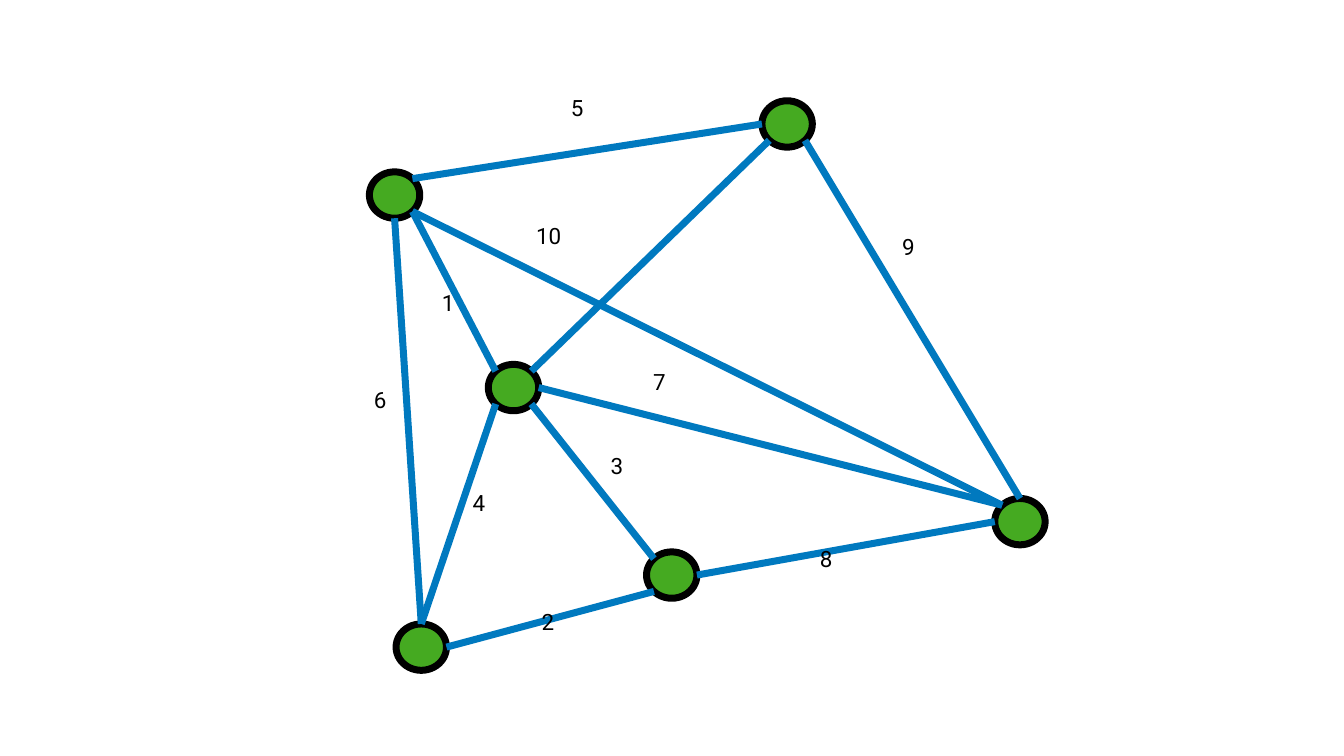
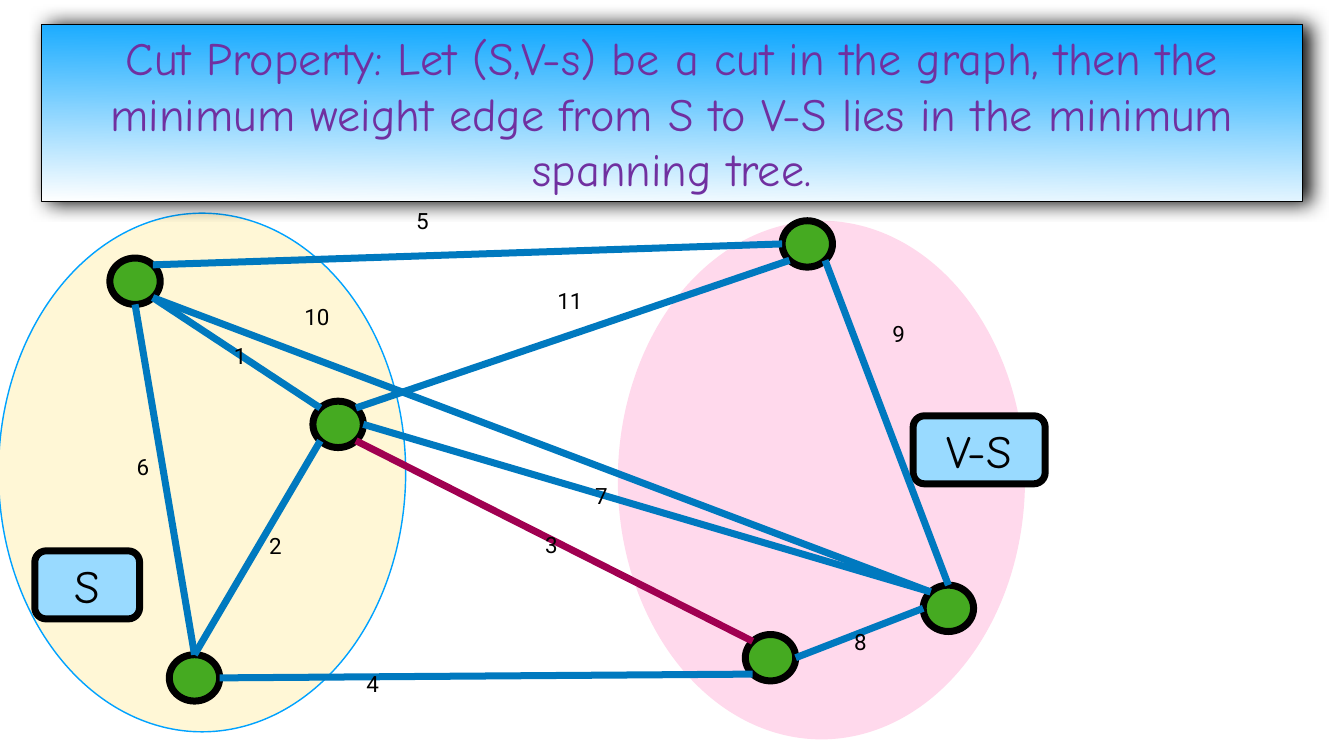
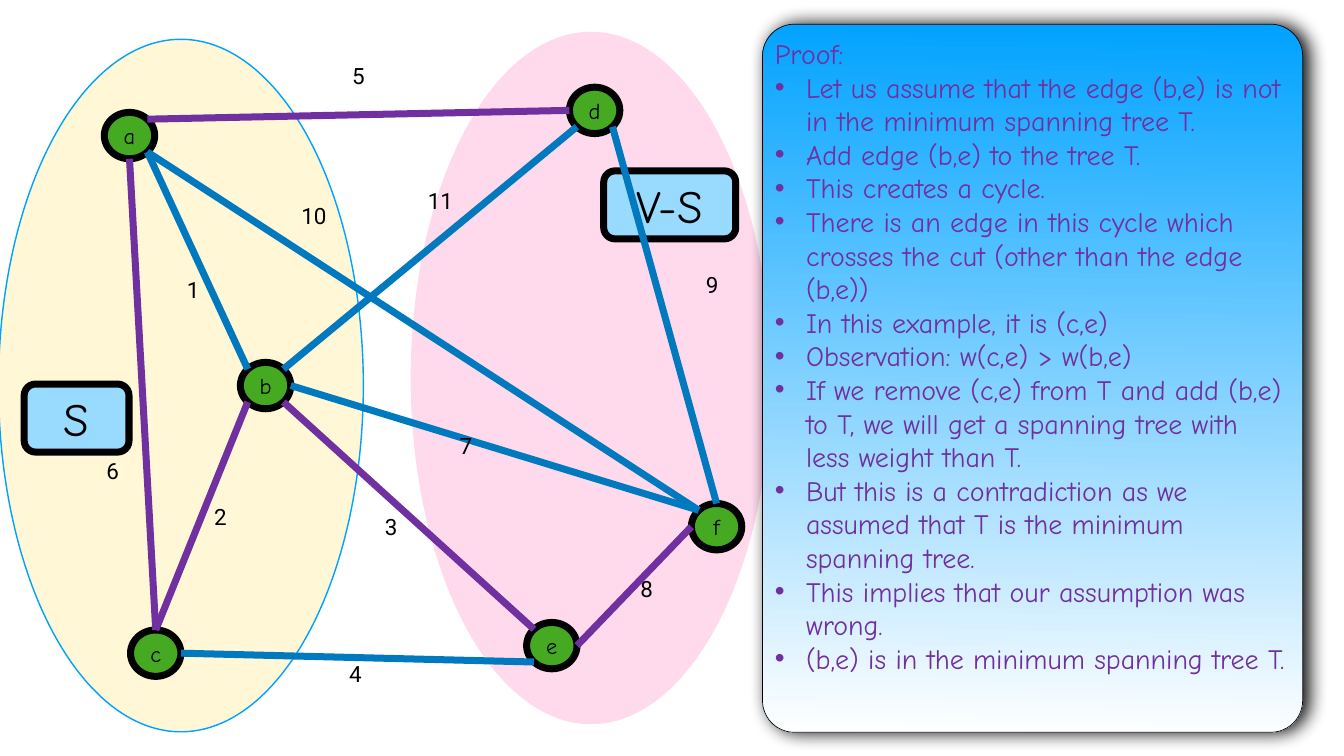
from dataclasses import dataclass, field
from lxml import etree
from pptx import Presentation, util as u
from pptx.dml import color as c
from pptx.enum import shapes as s, text as t
from pptx.oxml import ns


@dataclass(frozen=True)
class Theme:
    """Colours as RRGGBB, type sizes and line widths in points."""
    ink: str = "000000"
    purple: str = "7030A0"
    crimson: str = "A00051"
    edge: str = "0079BF"
    node: str = "45AA21"
    tag: str = "99DAFF"
    sky: str = "00A2FF"
    white: str = "FFFFFF"
    pink: str = "FFD9EC"
    cream: str = "FFF7D6"
    hand: str = "Comic Neue"
    plain: str = "Roboto"
    large: int = 66
    medium: int = 40
    small: int = 32
    thick: int = 10
    thin: int = 2
    hairline: int = 1


@dataclass(frozen=True)
class Graph:
    """Node corners, weight label corners and coloured edges of one drawing."""
    nodes: dict
    weights: dict
    marked: str = ""
    marker: str = ""
    named: bool = False


THEME = Theme()
SCALE = 9144
INSET = 6
NODE_SIZE = (100, 92)
TAG_HEIGHT = 135
LABEL_HEIGHT = 123
PANEL_CORNER = 0.059
DIAGONAL = 0.5 ** 0.5
SITES = {"top": (0, -1), "bottom": (0, 1), "left": (-1, 0), "right": (1, 0),
         "top left": (-DIAGONAL, -DIAGONAL), "top right": (DIAGONAL, -DIAGONAL),
         "bottom left": (-DIAGONAL, DIAGONAL), "bottom right": (DIAGONAL, DIAGONAL)}
EDGES = [("d", "bottom right", "f", "top"), ("f", "top left", "a", "bottom right"),
         ("d", "bottom left", "b", "top right"), ("c", "top", "b", "bottom left"),
         ("e", "top left", "b", "bottom right"), ("f", "left", "e", "right"),
         ("b", "top left", "a", "bottom right"), ("d", "left", "a", "top right"),
         ("c", "top", "a", "bottom"), ("c", "right", "e", "bottom left"),
         ("f", "top left", "b", "right")]

PLAIN_GRAPH = Graph(
    nodes={"a": (733, 341), "d": (1512, 200), "b": (969, 723),
           "c": (786, 1238), "e": (1283, 1095), "f": (1974, 989)},
    weights={"5": (1127, 156), "6": (736, 735), "10": (1058, 410), "9": (1784, 432),
             "1": (871, 542), "4": (932, 939), "3": (1206, 866), "2": (1069, 1176),
             "7": (1290, 699), "8": (1621, 1051)})
CUT_GRAPH = Graph(
    nodes={"a": (218, 512), "d": (1552, 438), "b": (621, 796),
           "c": (336, 1299), "e": (1479, 1259), "f": (1832, 1161)},
    weights={"6": (265, 868), "10": (598, 569), "9": (1765, 603), "1": (458, 648),
             "4": (721, 1299), "3": (1076, 1022), "7": (1175, 925), "8": (1689, 1215),
             "5": (820, 379), "2": (528, 1025), "11": (1100, 538)},
    marked="eb", marker=THEME.crimson)
PROOF_GRAPH = Graph(
    nodes={"a": (207, 223), "d": (1130, 173), "b": (477, 719),
           "c": (259, 1250), "e": (1045, 1235), "f": (1372, 999)},
    weights={"6": (205, 876), "10": (592, 369), "9": (1395, 506), "1": (365, 516),
             "4": (687, 1279), "3": (758, 986), "7": (906, 825), "8": (1265, 1109),
             "5": (693, 91), "2": (419, 967), "11": (843, 339)},
    marked="cb eb fe da ca", marker=THEME.purple, named=True)

CUT_PROPERTY = ("Cut Property: Let (S,V-s) be a cut in the graph, then the minimum "
                "weight edge from S to V-S lies in the minimum spanning tree.")
PROOF_STEPS = [
    "Let us assume that the edge (b,e) is not in the minimum spanning tree T.",
    "Add edge (b,e) to the tree T.",
    "This creates a cycle.",
    "There is an edge in this cycle which crosses the cut (other than the edge (b,e))",
    "In this example, it is (c,e)",
    "Observation: w(c,e) > w(b,e)",
    "If we remove (c,e) from T and add (b,e) to T, we will get a spanning tree "
    "with less weight than T.",
    "But this is a contradiction as we assumed that T is the minimum spanning tree.",
    "This implies that our assumption was wrong.",
    "(b,e) is in the minimum spanning tree T."]


def px(*lengths):
    """Turn px lengths into a list of EMU."""
    return [u.Emu(round(length * SCALE)) for length in lengths]


def rgb(value):
    """Turn RRGGBB into a colour."""
    return c.RGBColor.from_string(value)


def set_line(line, color, width):
    """Give a line its colour and width."""
    line.color.rgb = rgb(color)
    line.width = u.Pt(width)


def write(shape, lines, size, color=THEME.ink, font=THEME.hand,
          align=t.PP_ALIGN.CENTER, anchor=t.MSO_ANCHOR.MIDDLE):
    """Fill a shape with paragraphs in one format."""
    frame = shape.text_frame
    frame.text = "\n".join(lines)
    frame.word_wrap = True
    frame.auto_size = t.MSO_AUTO_SIZE.NONE
    frame.vertical_anchor = anchor
    frame.margin_left, frame.margin_top, frame.margin_right, frame.margin_bottom = px(*[INSET] * 4)
    for para in frame.paragraphs:
        para.alignment = align
        for span in para.runs:
            span.font.name = font
            span.font.size = u.Pt(size)
            span.font.color.rgb = rgb(color)


def add_block(page, kind, box, fill, outline=None, width=THEME.thick):
    """Add a flat preset shape, outlined if a colour is given."""
    shape = page.shapes.add_shape(kind, *px(*box))
    shape.shadow.inherit = False
    shape.fill.solid()
    shape.fill.fore_color.rgb = rgb(fill)
    if outline:
        set_line(shape.line, outline, width)
    else:
        shape.line.fill.background()
    return shape


def add_sets(page, source, target):
    """Add the two sides of the cut as large ovals."""
    add_block(page, s.MSO_SHAPE.OVAL, target, THEME.pink)
    add_block(page, s.MSO_SHAPE.OVAL, source, THEME.cream, THEME.sky, THEME.thin)


def add_tag(page, name, left, top, width):
    """Add the name tag of one side of the cut."""
    tag = add_block(page, s.MSO_SHAPE.ROUNDED_RECTANGLE,
                    (left, top, width, TAG_HEIGHT), THEME.tag, THEME.ink)
    write(tag, [name], THEME.large)


def style_panel(shape):
    """Give a rounded shape the gradient, outline and shadow of a panel."""
    shape.adjustments[0] = PANEL_CORNER
    shape.fill.gradient()
    shape.fill.gradient_angle = 269
    for stop, color in zip(shape.fill.gradient_stops, (THEME.sky, THEME.white)):
        stop.color.rgb = rgb(color)
    set_line(shape.line, THEME.ink, THEME.hairline)
    shape.shadow.inherit = False
    effects = shape._element.spPr.find(ns.qn("a:effectLst"))
    shadow = etree.SubElement(effects, ns.qn("a:outerShdw"), blurRad=str(u.Pt(28)),
                              dist=str(u.Pt(9)), dir="0", rotWithShape="0")
    black = etree.SubElement(shadow, ns.qn("a:srgbClr"), val=THEME.ink)
    etree.SubElement(black, ns.qn("a:alpha"), val="97000")


def add_title_panel(page, title, box):
    """Turn the title placeholder into a panel above the shapes so far."""
    shape = page.shapes.title
    shape.left, shape.top, shape.width, shape.height = px(*box)
    element = shape._element
    etree.SubElement(element.spPr, ns.qn("a:prstGeom"), prst="roundRect")
    element.getparent().append(element)
    style_panel(shape)
    write(shape, [title], THEME.large, THEME.purple)


def add_proof_panel(page, heading, steps, box):
    """Add a panel with a heading and bulleted steps."""
    shape = page.shapes.add_shape(s.MSO_SHAPE.ROUNDED_RECTANGLE, *px(*box))
    style_panel(shape)
    write(shape, [heading, *steps], THEME.medium, THEME.purple,
          align=t.PP_ALIGN.LEFT, anchor=t.MSO_ANCHOR.TOP)
    indent = px(62)[0]
    for para in shape.text_frame.paragraphs[1:]:
        properties = para._p.get_or_add_pPr()
        properties.set("marL", str(indent))
        properties.set("indent", str(-indent))
        etree.SubElement(properties, ns.qn("a:buFont"), typeface="Arial")
        etree.SubElement(properties, ns.qn("a:buChar"), char="•")


def site_point(corner, site):
    """Find the point of a node's outline that a site names."""
    return [start + size / 2 * (1 + shift)
            for start, size, shift in zip(corner, NODE_SIZE, SITES[site])]


def add_edge(page, start, end, color):
    """Add a straight edge between two points."""
    edge = page.shapes.add_connector(s.MSO_CONNECTOR.STRAIGHT, *px(*start, *end))
    set_line(edge.line, color, THEME.thick)
    etree.SubElement(edge._element.spPr, ns.qn("a:effectLst"))


def add_weight(page, weight, corner):
    """Add the weight label of an edge."""
    width = 54 if len(weight) == 1 else 70
    label = page.shapes.add_textbox(*px(*corner, width, LABEL_HEIGHT))
    write(label, [weight], THEME.small, font=THEME.plain, align=t.PP_ALIGN.LEFT)
    label.text_frame.auto_size = t.MSO_AUTO_SIZE.SHAPE_TO_FIT_TEXT
    para = label.text_frame.paragraphs[0]
    para.line_spacing = 0.9
    para.space_before = u.Pt(45)


def add_graph(page, graph):
    """Add the nodes, edges and weights of a graph."""
    for name, corner in graph.nodes.items():
        node = add_block(page, s.MSO_SHAPE.OVAL, (*corner, *NODE_SIZE), THEME.node, THEME.ink)
        if graph.named:
            write(node, [name], THEME.small)
    for first, first_site, second, second_site in EDGES:
        marked = first + second in graph.marked.split()
        add_edge(page, site_point(graph.nodes[first], first_site),
                 site_point(graph.nodes[second], second_site),
                 graph.marker if marked else THEME.edge)
    for weight, corner in graph.weights.items():
        add_weight(page, weight, corner)


def main():
    """Build the three slides and save the deck."""
    deck = Presentation()
    deck.slide_width, deck.slide_height = px(2667, 1500)
    title_only, blank = deck.slide_layouts[5], deck.slide_layouts[6]

    page = deck.slides.add_slide(blank)
    add_graph(page, PLAIN_GRAPH)

    page = deck.slides.add_slide(title_only)
    add_sets(page, source=(-3, 423, 808, 1029), target=(1226, 438, 808, 1029))
    add_title_panel(page, CUT_PROPERTY, (82, 48, 2503, 352))
    add_tag(page, "S", 69, 1093, 208)
    add_tag(page, "V-S", 1812, 825, 262)
    add_graph(page, CUT_GRAPH)

    page = deck.slides.add_slide(blank)
    add_sets(page, source=(-3, 78, 724, 1374), target=(815, 63, 715, 1374))
    add_tag(page, "S", 48, 762, 208)
    add_tag(page, "V-S", 1198, 339, 262)
    add_graph(page, PROOF_GRAPH)
    add_proof_panel(page, "Proof:", PROOF_STEPS, (1513, 48, 1072, 1405))

    deck.save("out.pptx")


if __name__ == "__main__":
    main()
